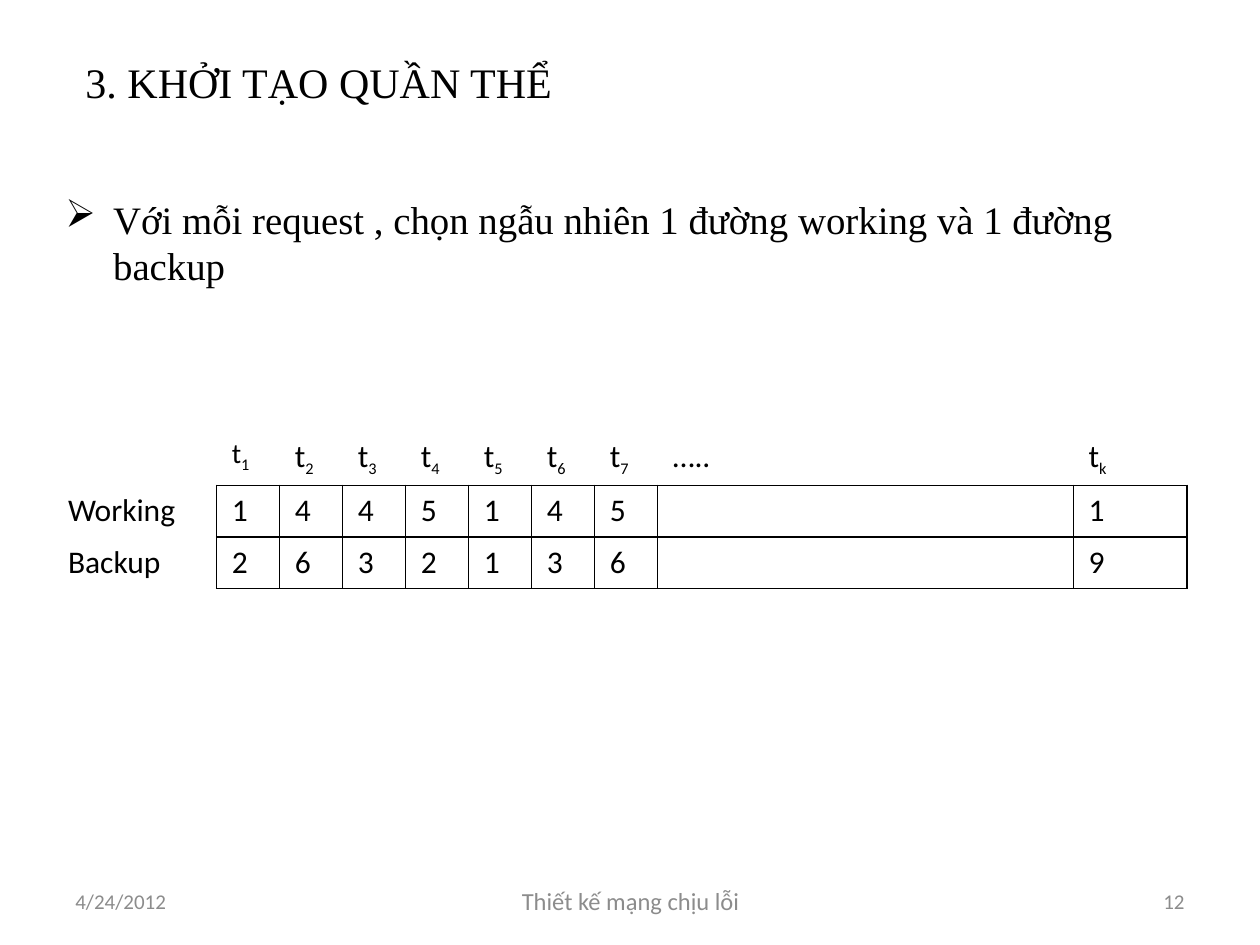
from lxml.etree import SubElement
from pptx import Presentation
from pptx.dml.color import RGBColor
from pptx.enum.text import MSO_ANCHOR, PP_ALIGN
from pptx.oxml.ns import qn
from pptx.util import Inches, Pt

BLACK = RGBColor(0x00, 0x00, 0x00)
GRAY = RGBColor(0x8C, 0x8C, 0x8C)
SERIF, SANS = "Times New Roman", "Calibri"

TITLE = "3. KHỞI TẠO QUẦN THỂ"
BULLET = "Với mỗi request , chọn ngẫu nhiên 1 đường working và 1 đường backup"
# text, left, width, size, alignment
FOOTERS = [
    ("4/24/2012", 0.5, 2.33, 12, PP_ALIGN.LEFT),
    ("Thiết kế mạng chịu lỗi", 3.42, 3.17, 14, PP_ALIGN.CENTER),
    ("12", 7.17, 2.33, 12, PP_ALIGN.RIGHT),
]
SUBSCRIPTS = ["1", "2", "3", "4", "5", "6", "7", None, "k"]
GENES = [
    ["Working", "1", "4", "4", "5", "1", "4", "5", "", "1"],
    ["Backup", "2", "6", "3", "2", "1", "3", "6", "", "9"],
]
COLUMN_WIDTHS = [1.3] + [0.5] * 7 + [3.3, 0.9]
ROW_HEIGHT = 0.41
# edge tag -> row and column step to the cell across that edge
EDGES = {"a:lnL": (0, -1), "a:lnR": (0, 1), "a:lnT": (-1, 0), "a:lnB": (1, 0)}


def style(font, name, size, color):
    font.name, font.size = name, Pt(size)
    font.color.rgb = color


def add_text(slide, text, place, name, size, color,
             align=PP_ALIGN.LEFT, anchor=MSO_ANCHOR.MIDDLE):
    box = slide.shapes.add_textbox(*map(Inches, place))
    box.text_frame.word_wrap = True
    box.text_frame.vertical_anchor = anchor
    para = box.text_frame.paragraphs[0]
    para.text, para.alignment = text, align
    style(para.font, name, size, color)
    return para


def add_bullet(para, char, indent):
    properties = para._p.get_or_add_pPr()
    properties.set("marL", str(Inches(indent)))
    properties.set("indent", str(-Inches(indent)))
    bullet = properties.makeelement(qn("a:buChar"), {"char": char})
    properties.insert(0, bullet)


def in_grid(row, column):
    return 1 <= row <= len(GENES) and 1 <= column < len(COLUMN_WIDTHS)


def set_borders(cell, row, column):
    """Rule every edge that touches a gene cell and clear the others."""
    properties = cell._tc.get_or_add_tcPr()
    for tag, (down, across) in EDGES.items():
        line = SubElement(properties, qn(tag), w=str(Pt(1)))
        if in_grid(row, column) or in_grid(row + down, column + across):
            fill = SubElement(line, qn("a:solidFill"))
            SubElement(fill, qn("a:srgbClr"), val=str(BLACK))
        else:
            SubElement(line, qn("a:noFill"))


def fill_header(para, subscript, size):
    if subscript is None:
        para.text = "….."
        return
    for text, points in (("t", size), (subscript, 16)):
        span = para.add_run()
        span.text = text
        style(span.font, SANS, points, BLACK)
    span.font._element.set("baseline", "-25000")


def add_gene_table(slide):
    row_count = len(GENES) + 1
    table = slide.shapes.add_table(
        row_count, len(COLUMN_WIDTHS), Inches(0.42), Inches(3.42),
        Inches(sum(COLUMN_WIDTHS)), Inches(ROW_HEIGHT * row_count)).table
    table.first_row = table.horz_banding = False
    for column, width in zip(table.columns, COLUMN_WIDTHS):
        column.width = Inches(width)
    for r in range(row_count):
        table.rows[r].height = Inches(ROW_HEIGHT)
        for c in range(len(COLUMN_WIDTHS)):
            cell = table.cell(r, c)
            cell.margin_left = cell.margin_right = Inches(0.12)
            set_borders(cell, r, c)
            cell.fill.background()
            para = cell.text_frame.paragraphs[0]
            if r > 0:
                para.text = GENES[r - 1][c]
            elif c > 0:
                fill_header(para, SUBSCRIPTS[c - 1], 16 if c == 1 else 18)
            style(para.font, SANS, 18, BLACK)


def main():
    deck = Presentation()
    deck.slide_width, deck.slide_height = Inches(10), Inches(7.5)
    page = deck.slides.add_slide(deck.slide_layouts[6])
    add_text(page, TITLE, (0.58, 0.3, 8.92, 0.7), SERIF, 24, BLACK)
    request = add_text(page, BULLET, (0.42, 1.5, 9, 0.75), SERIF, 22.2, BLACK,
                       anchor=MSO_ANCHOR.TOP)
    add_bullet(request, "➢", 0.38)
    add_gene_table(page)
    for text, left, width, size, align in FOOTERS:
        add_text(page, text, (left, 6.95, width, 0.4), SANS, size, GRAY, align)
    deck.save("out.pptx")


if __name__ == "__main__":
    main()
